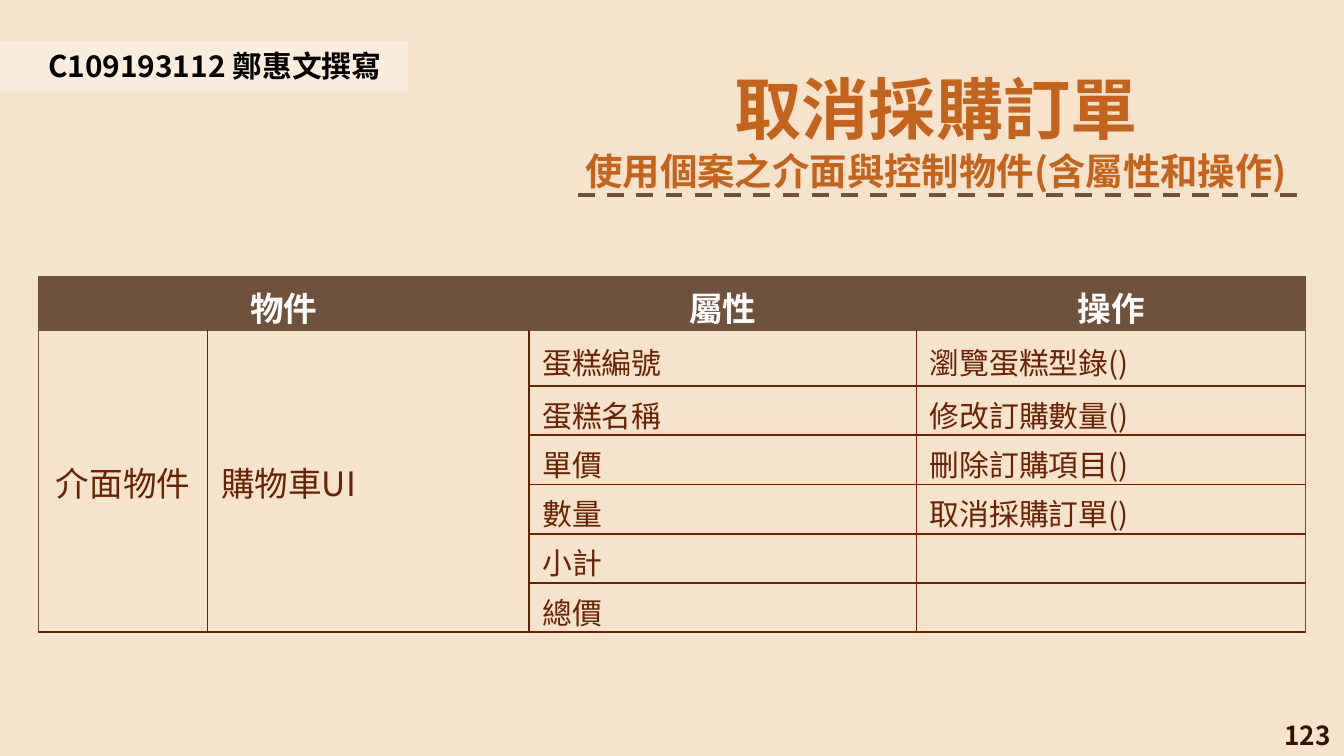
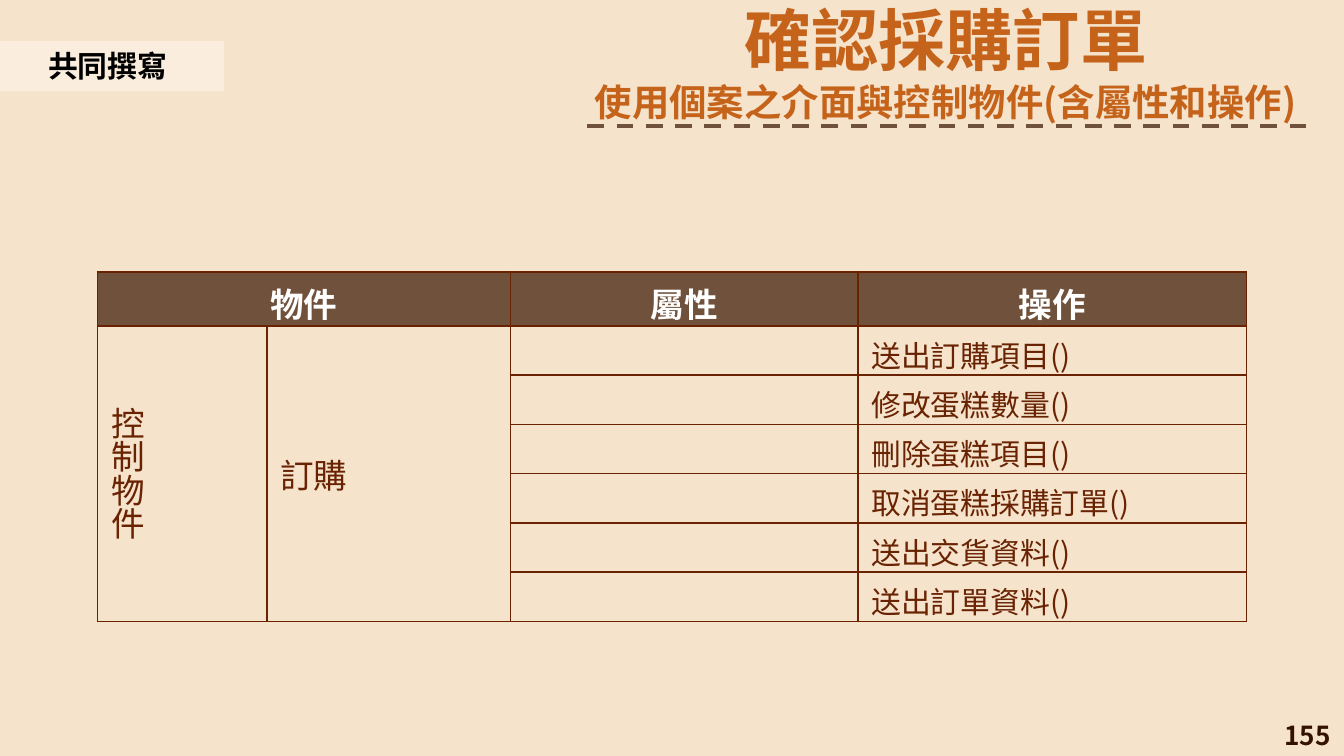
"""Build two slides of object tables for the order use cases."""
from dataclasses import dataclass

from lxml import etree
from pptx import Presentation
from pptx.dml.color import RGBColor
from pptx.enum.dml import MSO_LINE
from pptx.enum.shapes import MSO_CONNECTOR, MSO_SHAPE
from pptx.enum.text import MSO_ANCHOR, PP_ALIGN
from pptx.oxml.ns import qn
from pptx.util import Pt

LEFT, CENTER, RIGHT, JUSTIFY = PP_ALIGN.LEFT, PP_ALIGN.CENTER, PP_ALIGN.RIGHT, PP_ALIGN.JUSTIFY
TOP, MIDDLE = MSO_ANCHOR.TOP, MSO_ANCHOR.MIDDLE
RECT, STRAIGHT, DASH = MSO_SHAPE.RECTANGLE, MSO_CONNECTOR.STRAIGHT, MSO_LINE.DASH

FONT = "Noto Sans CJK SC"
COLORS = {
    "background": "F5E3CC",
    "band": "FAEDDE",
    "label": "000000",
    "title": "C5631B",
    "dash": "70513B",
    "header": "70513B",
    "header_text": "FFFFFF",
    "rim": "6F4F38",
    "grid": "692303",
    "number": "341202",
}
HEADERS = ("物件", "屬性", "操作")
SUBTITLE = "使用個案之介面與控制物件(含屬性和操作)"
HEADER_H, ROW_H = 29, 26.4


@dataclass
class ObjectTable:
    left: float
    top: float
    cols: tuple[float, ...]
    kind: str
    name: str
    attributes: tuple[str, ...]
    operations: tuple[str, ...]
    first_row_h: float = ROW_H
    rim: str = "grid"
    rim_width: float = 1


@dataclass
class UseCase:
    number: str
    author: str
    band_w: float
    label_w: float
    title: str
    title_left: float
    title_top: float
    table: ObjectTable


USE_CASES = (
    UseCase(
        "123", "C109193112 鄭惠文撰寫", 218.8, 199.4, "取消採購訂單", 288.7, 28.8,
        ObjectTable(
            20.6, 148, (90.6, 172.2, 207.6, 208.6), "介面物件", "購物車UI",
            ("蛋糕編號", "蛋糕名稱", "單價", "數量", "小計", "總價"),
            ("瀏覽蛋糕型錄()", "修改訂購數量()", "刪除訂購項目()", "取消採購訂單()", "", ""),
            29.8, "rim", 0.75,
        ),
    ),
    UseCase(
        "155", "共同撰寫", 120.2, 80, "確認採購訂單", 293.8, -7.9,
        ObjectTable(
            52.2, 145.6, (90.8, 130.4, 186.2, 208.2), "控制物件", "訂購",
            ("",) * 6,
            ("送出訂購項目()", "修改蛋糕數量()", "刪除蛋糕項目()",
             "取消蛋糕採購訂單()", "送出交貨資料()", "送出訂單資料()"),
        ),
    ),
)


def rgb(name: str) -> RGBColor:
    return RGBColor.from_string(COLORS[name])


def write(p, text: str, size: float, color: str, bold: bool, align) -> None:
    p.alignment = align
    f = p.font
    f.name, f.size, f.bold = FONT, Pt(size), bold
    f.color.rgb = rgb(color)
    etree.SubElement(f._element, qn("a:ea"), typeface=FONT)
    if text:
        p.add_run().text = text
    else:
        etree.SubElement(p._p, qn("a:endParaRPr"), sz=str(int(size * 100)))


def add_text_box(slide, x: float, y: float, w: float, h: float, anchor=TOP):
    tf = slide.shapes.add_textbox(Pt(x), Pt(y), Pt(w), Pt(h)).text_frame
    tf.word_wrap = True
    tf.vertical_anchor = anchor
    return tf


def add_author(slide, case: UseCase) -> None:
    sp = slide.shapes.add_shape(RECT, 0, Pt(22), Pt(case.band_w), Pt(26.8))
    sp.shadow.inherit = False
    sp.fill.solid()
    sp.fill.fore_color.rgb = rgb("band")
    sp.line.fill.background()
    tf = add_text_box(slide, 18.7, 22.2, case.label_w, 26.7)
    write(tf.paragraphs[0], case.author, 16, "label", True, LEFT)


def add_title(slide, case: UseCase) -> None:
    x, y = case.title_left, case.title_top
    tf = add_text_box(slide, x, y, 425.5, 78.5)
    tf.margin_left = tf.margin_right = tf.margin_top = tf.margin_bottom = Pt(7.2)
    write(tf.paragraphs[0], case.title, 36, "title", True, CENTER)
    write(tf.add_paragraph(), SUBTITLE, 20, "title", True, CENTER)
    line_x, line_y = x + 20.9, y + 75.6
    line = slide.shapes.add_connector(
        STRAIGHT, Pt(line_x), Pt(line_y), Pt(line_x + 388), Pt(line_y))
    line.line.color.rgb = rgb("dash")
    line.line.width = Pt(2.25)
    line.line.dash_style = DASH
    etree.SubElement(line._element.spPr, qn("a:effectLst"))


def set_borders(cell, row: int, col: int, spec: ObjectTable) -> None:
    on_rim = {
        "L": row == 0 or col == 0,
        "R": row == 0 or col == len(spec.cols) - 1,
        "T": row <= 1,
        "B": row == 0,
    }
    tc_pr = cell._tc.get_or_add_tcPr()
    for i, (side, rim) in enumerate(on_rim.items()):
        color, width = (spec.rim, spec.rim_width) if rim else ("grid", 1)
        ln = etree.Element(qn(f"a:ln{side}"), w=str(Pt(width)))
        fill = etree.SubElement(ln, qn("a:solidFill"))
        etree.SubElement(fill, qn("a:srgbClr"), val=COLORS[color])
        tc_pr.insert(i, ln)


def add_object_table(slide, spec: ObjectTable) -> None:
    heights = [HEADER_H, spec.first_row_h] + [ROW_H] * (len(spec.operations) - 1)
    tbl = slide.shapes.add_table(
        len(heights), len(spec.cols), Pt(spec.left), Pt(spec.top),
        Pt(sum(spec.cols)), Pt(sum(heights))).table
    tbl.first_row = tbl.horz_banding = False
    for column, w in zip(tbl.columns, spec.cols):
        column.width = Pt(w)
    for row, h in zip(tbl.rows, heights):
        row.height = Pt(h)

    tbl.cell(0, 0).merge(tbl.cell(0, 1))
    for col in (0, 1):
        tbl.cell(1, col).merge(tbl.cell(len(heights) - 1, col))

    grid = [(HEADERS[0], "", *HEADERS[1:])]
    for i, pair in enumerate(zip(spec.attributes, spec.operations)):
        grid.append(((spec.kind, spec.name) if i == 0 else ("", "")) + pair)
    aligns = (CENTER, LEFT, JUSTIFY, LEFT)
    for r, texts in enumerate(grid):
        for c, text in enumerate(texts):
            cell = tbl.cell(r, c)
            is_header = r == 0
            cell.vertical_anchor = MIDDLE
            if is_header or c > 1:
                cell.margin_top, cell.margin_bottom = Pt(3.6), 0
            if is_header:
                cell.fill.solid()
                cell.fill.fore_color.rgb = rgb("header")
            else:
                cell.fill.background()
            set_borders(cell, r, c, spec)
            if c == 0 and not is_header:
                cell._tc.get_or_add_tcPr().set("vert", "eaVert")
            write(cell.text_frame.paragraphs[0], text,
                  18 if is_header or (c < 2 and text) else 16,
                  "header_text" if is_header else "grid",
                  is_header, CENTER if is_header else aligns[c])


def add_use_case(prs, case: UseCase) -> None:
    slide = prs.slides.add_slide(prs.slide_layouts[6])
    slide.background.fill.solid()
    slide.background.fill.fore_color.rgb = rgb("background")
    tf = add_text_box(slide, 558, 383, 162, 21.6, MIDDLE)
    write(tf.paragraphs[0], case.number, 14, "number", True, RIGHT)
    add_author(slide, case)
    add_object_table(slide, case.table)
    add_title(slide, case)


def main() -> None:
    prs = Presentation()
    prs.slide_width, prs.slide_height = Pt(720), Pt(405)
    for case in USE_CASES:
        add_use_case(prs, case)
    prs.save("out.pptx")


if __name__ == "__main__":
    main()
